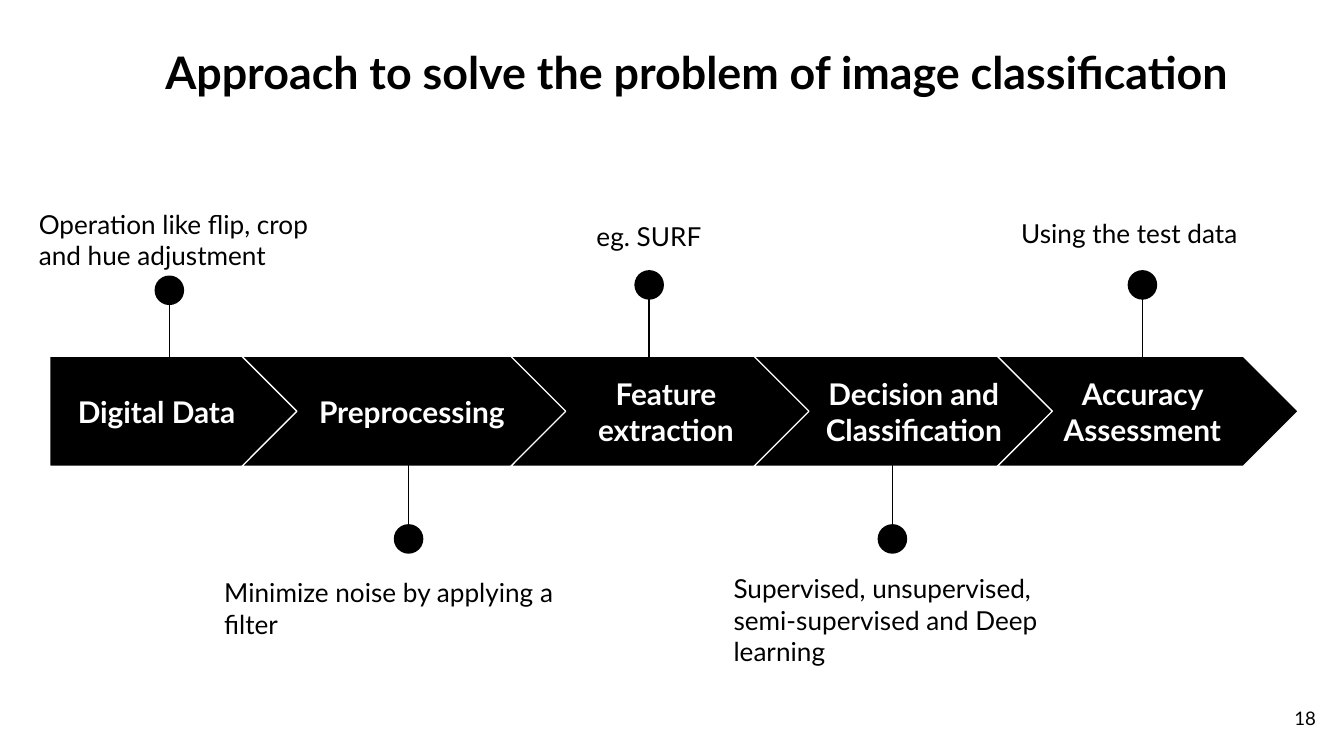
from dataclasses import dataclass

import lxml.etree
import pptx
import pptx.dml.color
import pptx.enum.shapes
import pptx.enum.text
import pptx.oxml.ns
import pptx.util

Inches = pptx.util.Inches
Align = pptx.enum.text.PP_ALIGN
Anchor = pptx.enum.text.MSO_ANCHOR
Preset = pptx.enum.shapes.MSO_SHAPE


@dataclass(frozen=True)
class Theme:
    font: str = "Lato"
    ink: str = "000000"
    paper: str = "FFFFFF"
    title_size: int = 24
    step_size: int = 16
    note_size: int = 14
    number_size: int = 10
    line_width: float = 0.75


@dataclass(frozen=True)
class Box:
    left: float
    top: float
    width: float
    height: float

    def lengths(self) -> tuple:
        return tuple(Inches(v) for v in (self.left, self.top, self.width, self.height))


@dataclass(frozen=True)
class Step:
    label: str
    left: float
    width: float
    label_left: float
    label_width: float
    pin_x: float
    note: str
    note_box: Box
    pin_above: bool
    pin_drop: float = 0


THEME = Theme()
SLIDE_WIDTH = 10
SLIDE_HEIGHT = SLIDE_WIDTH * 9 / 16
BAND_TOP, BAND_HEIGHT = 2.65, 0.82
LABEL_TOP, LABEL_HEIGHT = 2.81, 0.51
DOT_SIZE, PIN_LENGTH = 0.22, 0.61
UPPER_PIN, LOWER_PIN = 2.05, 3.46
UPPER_DOT, LOWER_DOT = 2.01, 3.9

STEPS = [
    Step("Digital Data", 0.37, 2.05, 0.37, 1.59, 1.26,
         "Operation like flip, crop and hue adjustment", Box(0.19, 1.45, 2.32, 0.56), True, 0.04),
    Step("Preprocessing", 1.8, 2.57, 2.08, 1.97, 3.04,
         "Minimize noise by applying a filter", Box(1.57, 4.19, 2.98, 0.65), False),
    Step("Feature extraction", 3.8, 2.24, 4.04, 1.83, 4.83,
         "eg. SURF", Box(4.34, 1.54, 1.76, 0.42), True),
    Step("Decision and Classification", 5.61, 2.24, 5.92, 1.76, 6.64,
         "Supervised, unsupervised, semi-supervised and Deep learning",
         Box(5.36, 4.16, 2.57, 0.82), False),
    Step("Accuracy Assessment", 7.42, 2.24, 7.78, 1.44, 8.5,
         "Using the test data", Box(7.5, 1.52, 2.05, 0.42), True),
]


def rgb(value: str) -> pptx.dml.color.RGBColor:
    return pptx.dml.color.RGBColor.from_string(value)


def write(shape, text: str, size: int, color: str = THEME.ink, bold: bool = False,
          align=Align.LEFT, anchor=Anchor.TOP) -> None:
    frame = shape.text_frame
    frame.text = text
    frame.word_wrap = True
    frame.auto_size = pptx.enum.text.MSO_AUTO_SIZE.NONE
    frame.vertical_anchor = anchor
    frame.margin_left = frame.margin_right = Inches(0.1)
    frame.margin_top = frame.margin_bottom = Inches(0.1)
    for para in frame.paragraphs:
        para.alignment = align
        for span in para.runs:
            span.font.name = THEME.font
            span.font.size = pptx.util.Pt(size)
            span.font.bold = bold
            span.font.color.rgb = rgb(color)


def add_text(page, box: Box, text: str, size: int, **style) -> None:
    write(page.shapes.add_textbox(*box.lengths()), text, size, **style)


def add_title(page, text: str) -> None:
    title = page.shapes.title
    title.left, title.top, title.width, title.height = Box(0.9, 0.23, 8.4, 0.69).lengths()
    write(title, text, THEME.title_size, bold=True)
    title.text_frame.margin_left = Inches(0.33)
    title.text_frame.margin_right = 0


def add_arrow(page, step: Step, preset) -> None:
    box = Box(step.left, BAND_TOP, step.width, BAND_HEIGHT)
    arrow = page.shapes.add_shape(preset, *box.lengths())
    arrow.adjustments[0] = 0.5
    arrow.shadow.inherit = False
    arrow.fill.solid()
    arrow.fill.fore_color.rgb = rgb(THEME.ink)
    arrow.line.color.rgb = rgb(THEME.paper)
    arrow.line.width = pptx.util.Pt(THEME.line_width)
    label_box = Box(step.label_left, LABEL_TOP, step.label_width, LABEL_HEIGHT)
    add_text(page, label_box, step.label, THEME.step_size, color=THEME.paper, bold=True,
             align=Align.CENTER, anchor=Anchor.MIDDLE)


def add_pin(page, step: Step) -> None:
    pin = page.shapes.add_group_shape()
    top = (UPPER_PIN if step.pin_above else LOWER_PIN) + step.pin_drop
    dot_top = (UPPER_DOT if step.pin_above else LOWER_DOT) + step.pin_drop
    stem = pin.shapes.add_connector(
        pptx.enum.shapes.MSO_CONNECTOR.STRAIGHT,
        Inches(step.pin_x), Inches(top), Inches(step.pin_x), Inches(top + PIN_LENGTH))
    stem.line.color.rgb = rgb(THEME.ink)
    stem.line.width = pptx.util.Pt(THEME.line_width)
    lxml.etree.SubElement(stem.element.spPr, pptx.oxml.ns.qn("a:effectLst"))
    dot_box = Box(step.pin_x - DOT_SIZE / 2, dot_top, DOT_SIZE, DOT_SIZE)
    dot = pin.shapes.add_shape(Preset.OVAL, *dot_box.lengths())
    dot.shadow.inherit = False
    dot.fill.solid()
    dot.fill.fore_color.rgb = rgb(THEME.ink)
    dot.line.fill.background()


def main() -> None:
    deck = pptx.Presentation()
    deck.slide_width, deck.slide_height = Inches(SLIDE_WIDTH), Inches(SLIDE_HEIGHT)
    page = deck.slides.add_slide(deck.slide_layouts.get_by_name("Title Only"))
    page.background.fill.solid()
    page.background.fill.fore_color.rgb = rgb(THEME.paper)
    add_title(page, "Approach to solve the problem of image classification")
    for index, step in enumerate(STEPS):
        add_arrow(page, step, Preset.CHEVRON if index else Preset.PENTAGON)
    for step in STEPS:
        add_pin(page, step)
        add_text(page, step.note_box, step.note, THEME.note_size)
    add_text(page, Box(9.29, 5.13, 0.6, 0.43), "18", THEME.number_size,
             align=Align.RIGHT, anchor=Anchor.MIDDLE)
    deck.save("out.pptx")


if __name__ == "__main__":
    main()
